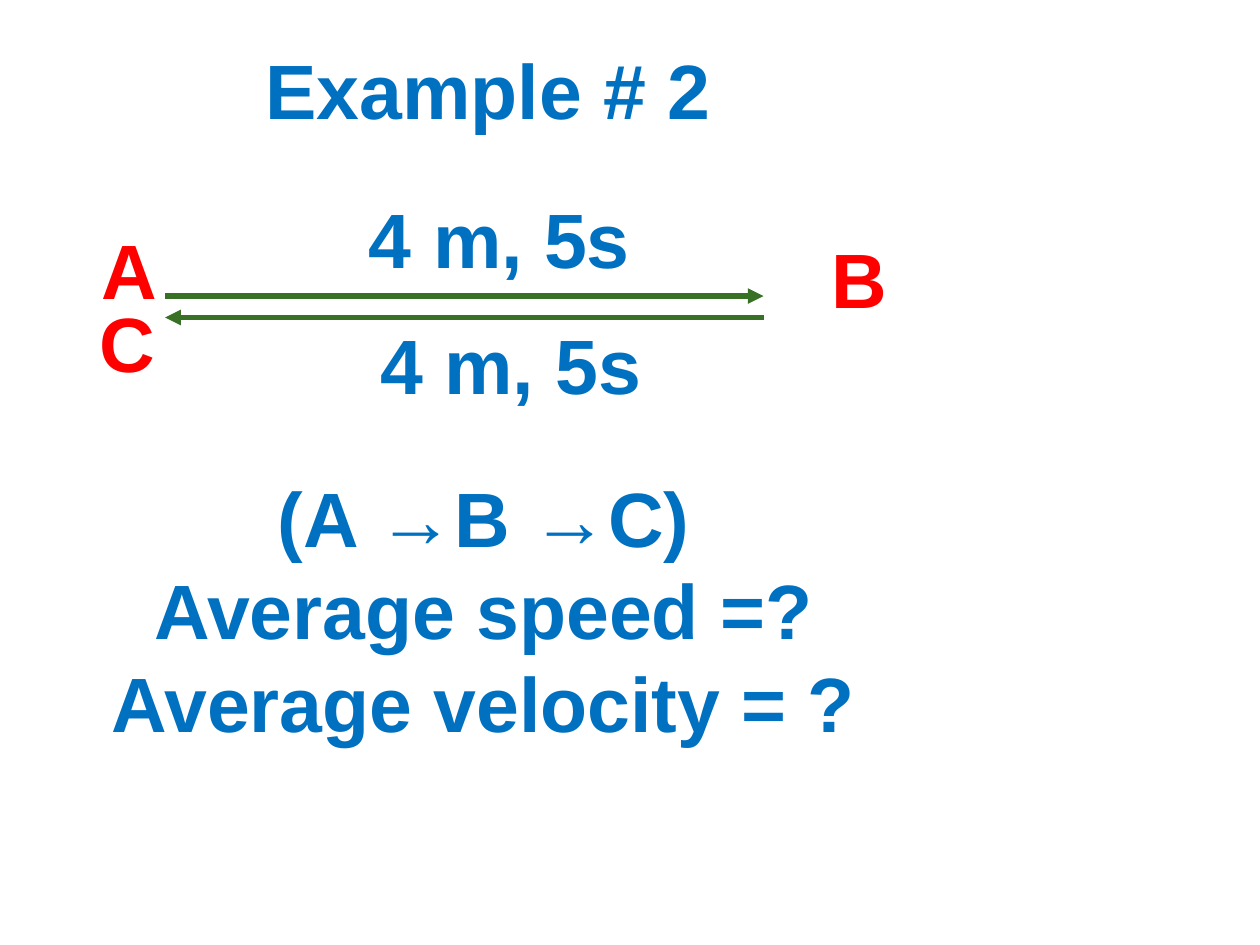
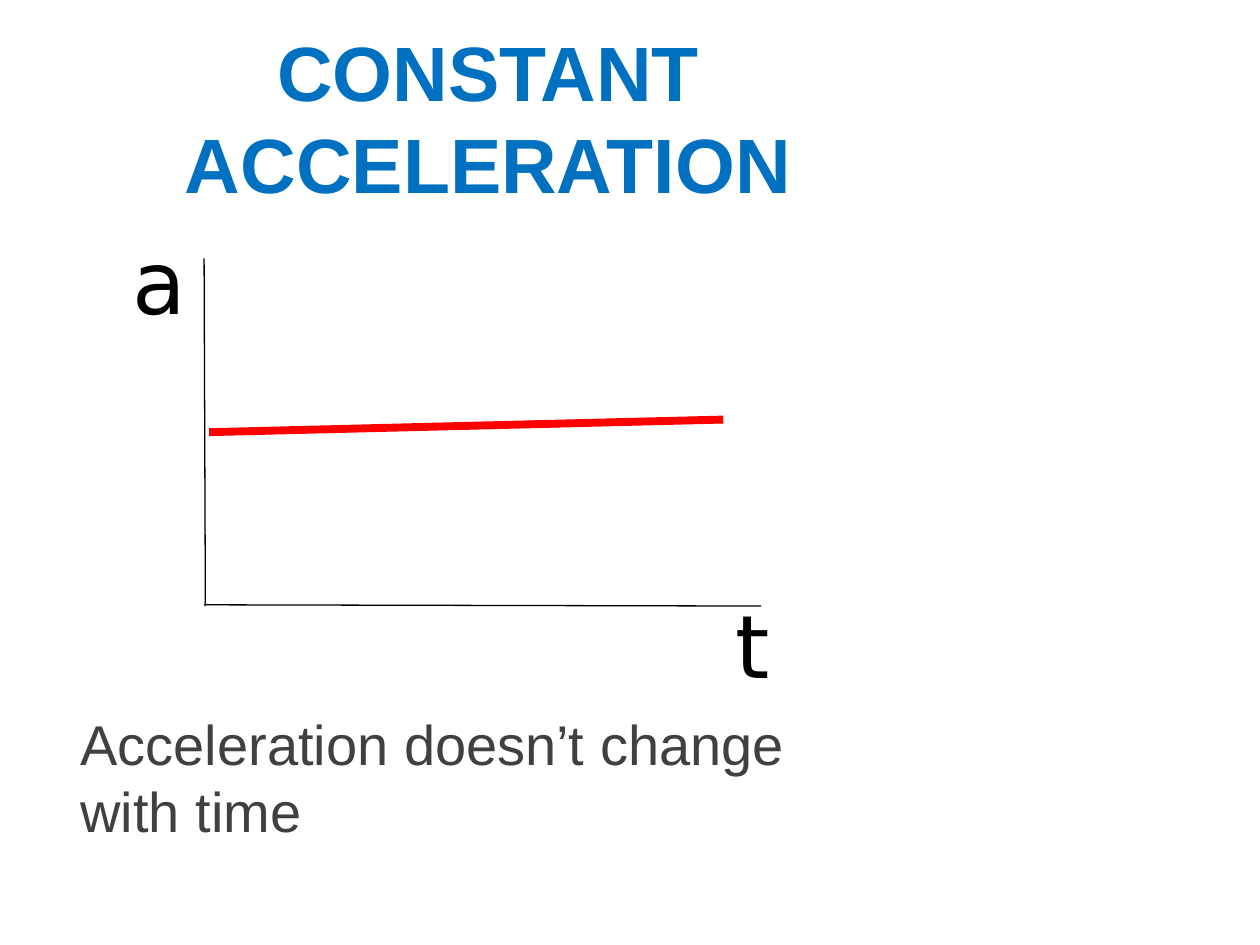
from lxml import etree
from pptx import Presentation
from pptx.dml.color import RGBColor
from pptx.enum.shapes import MSO_CONNECTOR
from pptx.enum.text import MSO_ANCHOR, PP_ALIGN
from pptx.oxml.ns import qn
from pptx.util import Inches, Pt

STRAIGHT = MSO_CONNECTOR.STRAIGHT
TOP, MIDDLE = MSO_ANCHOR.TOP, MSO_ANCHOR.MIDDLE
LEFT, CENTER = PP_ALIGN.LEFT, PP_ALIGN.CENTER

BLUE = RGBColor(0x00, 0x70, 0xC0)
RED = RGBColor(0xFF, 0x00, 0x00)
GREEN = RGBColor(0x38, 0x70, 0x25)
GREY = RGBColor(0x40, 0x40, 0x40)
BLACK = RGBColor(0x00, 0x00, 0x00)

# Content: positions and sizes in inches
TRIP_TITLE = "Example # 2"
POINTS = [("A", 0.35, 1.67), ("B", 6.14, 1.74), ("C", 0.33, 2.25)]
LEG_LABELS = [("4 m, 5s", 2.52, 1.42), ("4 m, 5s", 2.61, 2.42)]
LEGS = [((1.31, 2.35), (6.06, 2.35)), ((6.06, 2.52), (1.31, 2.52))]
QUESTIONS = ["(A →B →C)", "Average speed =?", "Average velocity = ?"]

GRAPH_TITLE = "CONSTANT ACCELERATION"
AXES = [((1.62, 2.05), (1.63, 4.81)), ((1.62, 4.8), (6.04, 4.81))]
ACCELERATION = ((5.74, 3.33), (1.66, 3.43))
AXIS_LABELS = [("a", 0.95, 1.75), ("t", 5.74, 4.64)]
CONCLUSION = "Acceleration doesn’t change with time"


def add_text(slide, text, left, top, width, height, *, size=44, font="Arial",
             color=BLUE, bold=True, align=CENTER, anchor=MIDDLE):
    """Write a string, or a list of paragraphs, in a wrapped box."""
    box = slide.shapes.add_textbox(Inches(left), Inches(top),
                                   Inches(width), Inches(height))
    frame = box.text_frame
    frame.word_wrap = True
    frame.vertical_anchor = anchor
    frame.text = text if isinstance(text, str) else "\n".join(text)
    for paragraph in frame.paragraphs:
        paragraph.alignment = align
        for run in paragraph.runs:
            run.font.size = Pt(size)
            run.font.name = font
            run.font.bold = bold
            run.font.color.rgb = color


def add_title(slide, text, top):
    add_text(slide, text, 0.5, top, 6.75, 1.25)


def add_line(slide, start, end, color, width, arrow=False):
    line = slide.shapes.add_connector(
        STRAIGHT, *(Inches(value) for value in (*start, *end)))
    line.line.color.rgb = color
    line.line.width = Pt(width)
    if arrow:
        etree.SubElement(line.line._get_or_add_ln(), qn("a:tailEnd"),
                         type="triangle")
    etree.SubElement(line._element.spPr, qn("a:effectLst"))


def build_trip(slide):
    add_title(slide, TRIP_TITLE, 0.08)
    for start, end in LEGS:
        add_line(slide, start, end, GREEN, 3, arrow=True)
    for label, left, top in LEG_LABELS:
        add_text(slide, label, left, top, 2.89, 0.93)
    for point, left, top in POINTS:
        add_text(slide, point, left, top, 1.36, 0.93, color=RED)
    add_text(slide, QUESTIONS, 0.17, 3.67, 7.34, 2.33)


def build_graph(slide):
    add_title(slide, GRAPH_TITLE, 0.3)
    add_text(slide, CONCLUSION, 0.54, 5.58, 6.58, 0.7, size=32, color=GREY,
             bold=False, align=LEFT, anchor=TOP)
    for start, end in AXES:
        add_line(slide, start, end, BLACK, 0.75)
    add_line(slide, *ACCELERATION, RED, 4.5)
    for label, left, top in AXIS_LABELS:
        add_text(slide, label, left, top, 0.58, 0.94, size=50, color=BLACK,
                 font="DejaVu Sans", bold=False, align=LEFT, anchor=TOP)


def main():
    deck = Presentation()
    deck.slide_width, deck.slide_height = Inches(10), Inches(7.5)
    blank = deck.slide_layouts[6]
    for build in (build_trip, build_graph):
        build(deck.slides.add_slide(blank))
    deck.save("out.pptx")


if __name__ == "__main__":
    main()
